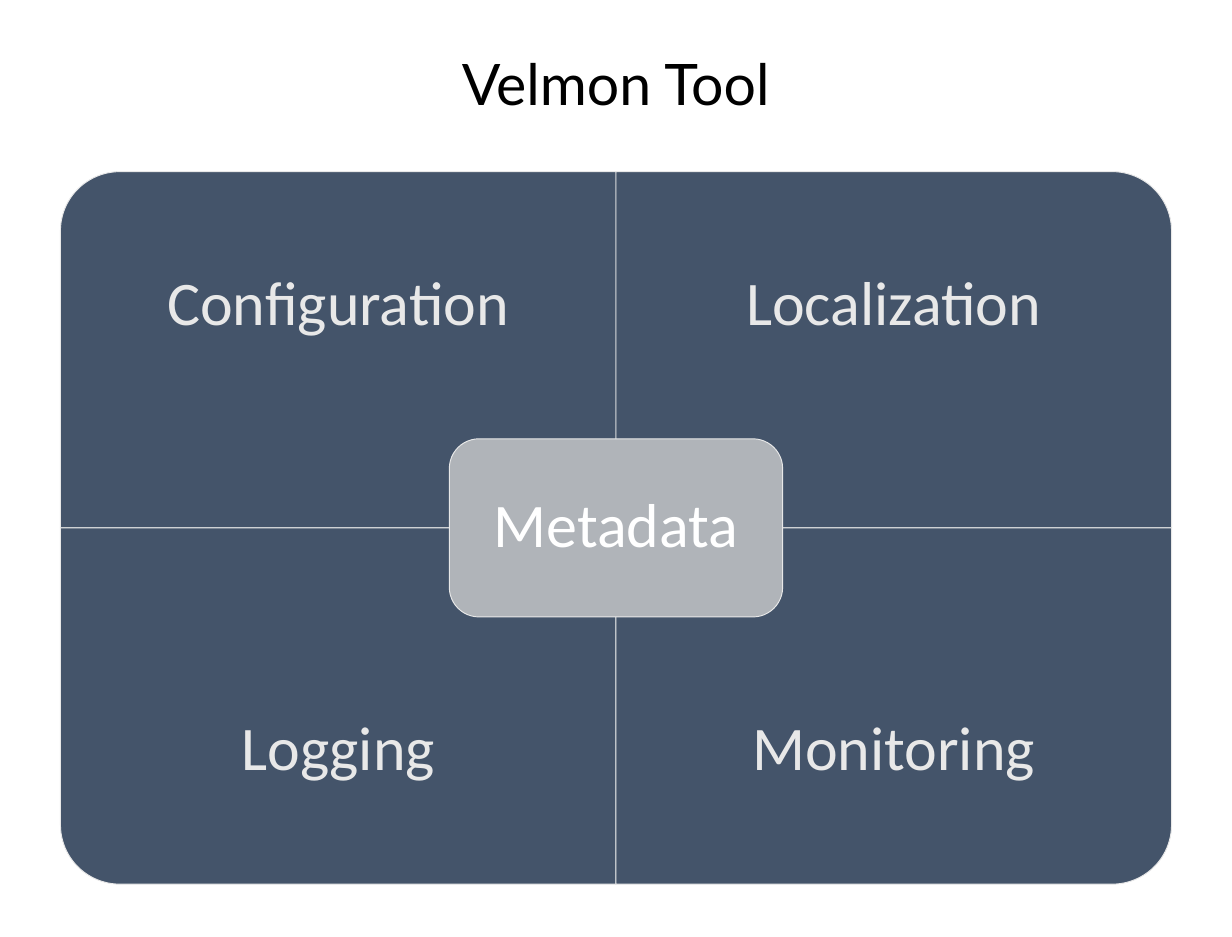
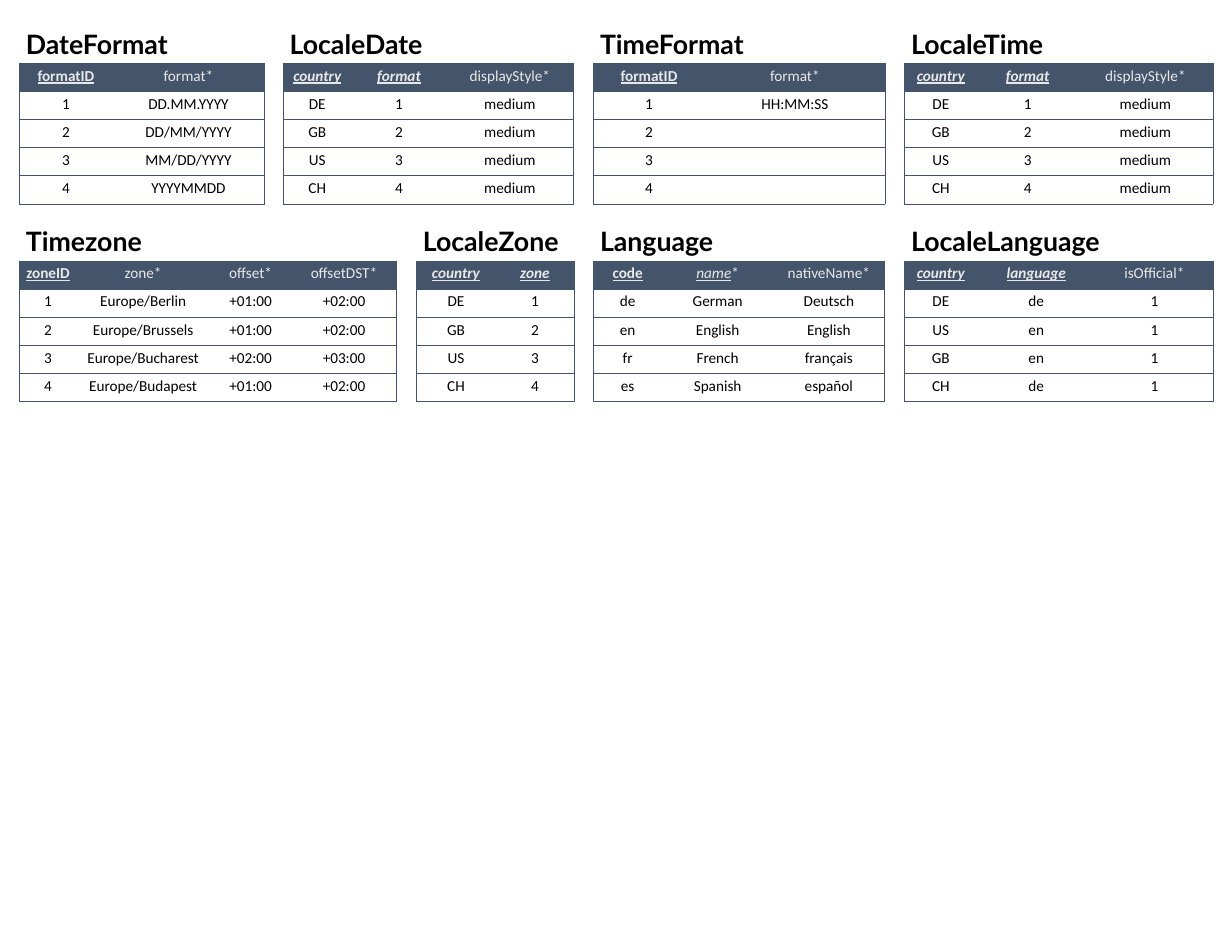
from pptx import Presentation
from pptx import util as u
from pptx.dml.color import RGBColor
from pptx.enum import shapes, text
from pptx.oxml import parse_xml
from pptx.oxml.ns import nsdecls, qn

TITLE = "Velmon Tool"
QUADRANTS = [
    ("Configuration", 0, 0, 270),
    ("Localization", 1, 0, 0),
    ("Logging", 0, 1, 180),
    ("Monitoring", 1, 1, 90),
]
HUB = "Metadata"

LOCALE_HEADS = [("country", "biu"), ("format", "biu"), ("displayStyle*", "")]
LOCALE_ROWS = [("DE", "1", "medium"), ("GB", "2", "medium"),
               ("US", "3", "medium"), ("CH", "4", "medium")]
FORMAT_HEADS = [("formatID", "bu"), ("format*", "")]

TABLES = [
    ("DateFormat", 0.28, 0.92, [1.36, 2.21], FORMAT_HEADS,
     [("1", "DD.MM.YYYY"), ("2", "DD/MM/YYYY"), ("3", "MM/DD/YYYY"), ("4", "YYYYMMDD")]),
    ("LocaleDate", 4.12, 0.92, [1, 1.38, 1.85], LOCALE_HEADS, LOCALE_ROWS),
    ("TimeFormat", 8.64, 0.92, [1.62, 2.63], FORMAT_HEADS,
     [("1", "HH:MM:SS"), ("2", ""), ("3", ""), ("4", "")]),
    ("LocaleTime", 13.17, 0.92, [1.06, 1.47, 1.96], LOCALE_HEADS, LOCALE_ROWS),
    ("Timezone", 0.28, 3.8, [0.84, 1.93, 1.2, 1.52],
     [("zoneID", "bu"), ("zone*", ""), ("offset*", ""), ("offsetDST*", "")],
     [("1", "Europe/Berlin", "+01:00", "+02:00"),
      ("2", "Europe/Brussels", "+01:00", "+02:00"),
      ("3", "Europe/Bucharest", "+02:00", "+03:00"),
      ("4", "Europe/Budapest", "+01:00", "+02:00")]),
    ("LocaleZone", 6.06, 3.8, [1.16, 1.14], [("country", "biu"), ("zone", "biu")],
     [("DE", "1"), ("GB", "2"), ("US", "3"), ("CH", "4")]),
    ("Language", 8.64, 3.8, [1, 1.62, 1.62],
     [("code", "bu"), ("name*", "iu"), ("nativeName*", "")],
     [("de", "German", "Deutsch"), ("en", "English", "English"),
      ("fr", "French", "français"), ("es", "Spanish", "español")]),
    ("LocaleLanguage", 13.17, 3.8, [1.06, 1.72, 1.72],
     [("country", "biu"), ("language", "biu"), ("isOfficial*", "")],
     [("DE", "de", "1"), ("US", "en", "1"), ("GB", "en", "1"), ("CH", "de", "1")]),
]

COLORS = {"navy": "44546A", "pale": "E8E8E8", "grey": "B0B4B9",
          "white": "FFFFFF", "black": "000000"}
TITLE_FONT = {"name": "Lato", "size": u.Pt(60)}
TABLE_TITLE_FONT = {"name": "Lato", "size": u.Pt(28), "bold": True}
BLOCK_FONT = {"name": "Calibri", "size": u.Pt(65)}
CELL_FONT = {"name": "Calibri", "size": u.Pt(16)}
STYLE_FLAGS = {"b": "bold", "i": "italic", "u": "underline"}
NO_TABLE_STYLE = "{2D5ABB26-0587-4C30-8999-92F81FD0307C}"
LEFT, TOP, BLOCK_W, BLOCK_H = 0.88, 2.5, 8.09, 5.19
LABEL_H = 0.75 * BLOCK_H
ROW_H, CAPTION_H = 0.41, 0.57
CENTER, MIDDLE = text.PP_ALIGN.CENTER, text.MSO_ANCHOR.MIDDLE

prs = Presentation()
prs.slide_width, prs.slide_height = u.Inches(17.94), u.Inches(13.65)


def rgb(name):
    return RGBColor.from_string(COLORS[name])


def inches(*values):
    return [u.Inches(v) for v in values]


def add_run(p, words, font, color):
    r = p.add_run()
    r.text = words
    for key, value in font.items():
        setattr(r.font, key, value)
    r.font.color.rgb = rgb(color)


def write(sp, words, font, color, inset=None, wrap=True, align=CENTER, anchor=MIDDLE):
    tf = sp.text_frame
    tf.word_wrap, tf.vertical_anchor = wrap, anchor
    if inset is not None:
        for side in ("left", "right", "top", "bottom"):
            setattr(tf, "margin_" + side, u.Inches(inset))
    p = tf.paragraphs[0]
    p.alignment = align
    if align == CENTER:
        p.line_spacing = 0.9
    add_run(p, words, font, color)


def add_block(group, kind, box, fill):
    sp = group.add_shape(kind, *inches(*box))
    sp.shadow.inherit = False
    sp.fill.solid()
    sp.fill.fore_color.rgb = rgb(fill)
    sp.line.color.rgb = rgb("pale")
    sp.line.width = u.Pt(1)
    return sp


def add_quadrant(group, label, col, row, turn):
    x, y = LEFT + col * BLOCK_W, TOP + row * BLOCK_H
    w, h = (BLOCK_H, BLOCK_W) if turn % 180 else (BLOCK_W, BLOCK_H)
    box = (x + (BLOCK_W - w) / 2, y + (BLOCK_H - h) / 2, w, h)
    sp = add_block(group, shapes.MSO_SHAPE.ROUND_1_RECTANGLE, box, "navy")
    sp.rotation = turn
    label_y = y + row * (BLOCK_H - LABEL_H)
    tb = group.add_textbox(*inches(x, label_y, BLOCK_W, LABEL_H))
    write(tb, label, BLOCK_FONT, "pale", inset=0.51)


def set_borders(cell, first, last):
    tcPr = cell._tc.get_or_add_tcPr()
    drawn = {"lnL": first, "lnR": last, "lnT": True, "lnB": True}
    for i, (tag, visible) in enumerate(drawn.items()):
        paint = (f'<a:solidFill><a:srgbClr val="{COLORS["navy"]}"/></a:solidFill>'
                 if visible else "<a:noFill/>")
        tcPr.insert(i, parse_xml(f'<a:{tag} {nsdecls("a")} w="{u.Pt(0.5)}">{paint}</a:{tag}>'))


def fill_cell(cell, words, style, is_head):
    p = cell.text_frame.paragraphs[0]
    p.alignment = CENTER
    if is_head:
        cell.fill.solid()
        cell.fill.fore_color.rgb = rgb("navy")
    else:
        cell.fill.background()
    p.font.size = CELL_FONT["size"]
    color = "pale" if is_head else "black"
    flags = {name: key in style for key, name in STYLE_FLAGS.items()}
    body, star, _ = words.partition("*")
    if body:
        add_run(p, body if style else words, {**CELL_FONT, **flags}, color)
    if star and style:
        add_run(p, star, CELL_FONT, color)


def add_data_table(s, name, x, y, widths, heads, rows):
    tb = s.shapes.add_textbox(*inches(x, y - CAPTION_H, sum(widths), CAPTION_H))
    write(tb, name, TABLE_TITLE_FONT, "black", wrap=False,
          align=text.PP_ALIGN.LEFT, anchor=text.MSO_ANCHOR.TOP)
    lines = [heads] + [[(words, "") for words in row] for row in rows]
    size = inches(x, y, sum(widths), ROW_H * len(lines))
    table = s.shapes.add_table(len(lines), len(widths), *size).table
    table.first_row = table.horz_banding = False
    table._tbl.tblPr.find(qn("a:tableStyleId")).text = NO_TABLE_STYLE
    for column, width in zip(table.columns, widths):
        column.width = u.Inches(width)
    for i, line in enumerate(lines):
        table.rows[i].height = u.Inches(ROW_H)
        for j, (words, style) in enumerate(line):
            cell = table.cell(i, j)
            fill_cell(cell, words, style, i == 0)
            set_borders(cell, j == 0, j == len(widths) - 1)


def add_slide():
    return prs.slides.add_slide(prs.slide_layouts[6])


s = add_slide()
group = s.shapes.add_group_shape().shapes
for quadrant in QUADRANTS:
    add_quadrant(group, *quadrant)
hub_w, hub_h = 0.6 * BLOCK_W, 0.5 * BLOCK_H
hub_box = (LEFT + BLOCK_W - hub_w / 2, TOP + BLOCK_H - hub_h / 2, hub_w, hub_h)
hub = add_block(group, shapes.MSO_SHAPE.ROUNDED_RECTANGLE, hub_box, "grey")
write(hub, HUB, BLOCK_FONT, "white", inset=0.27)
write(s.shapes.add_textbox(*inches(1.23, 0.77, 15.47, 1)), TITLE, TITLE_FONT, "black")

s = add_slide()
for entry in TABLES:
    add_data_table(s, *entry)

prs.save("out.pptx")
